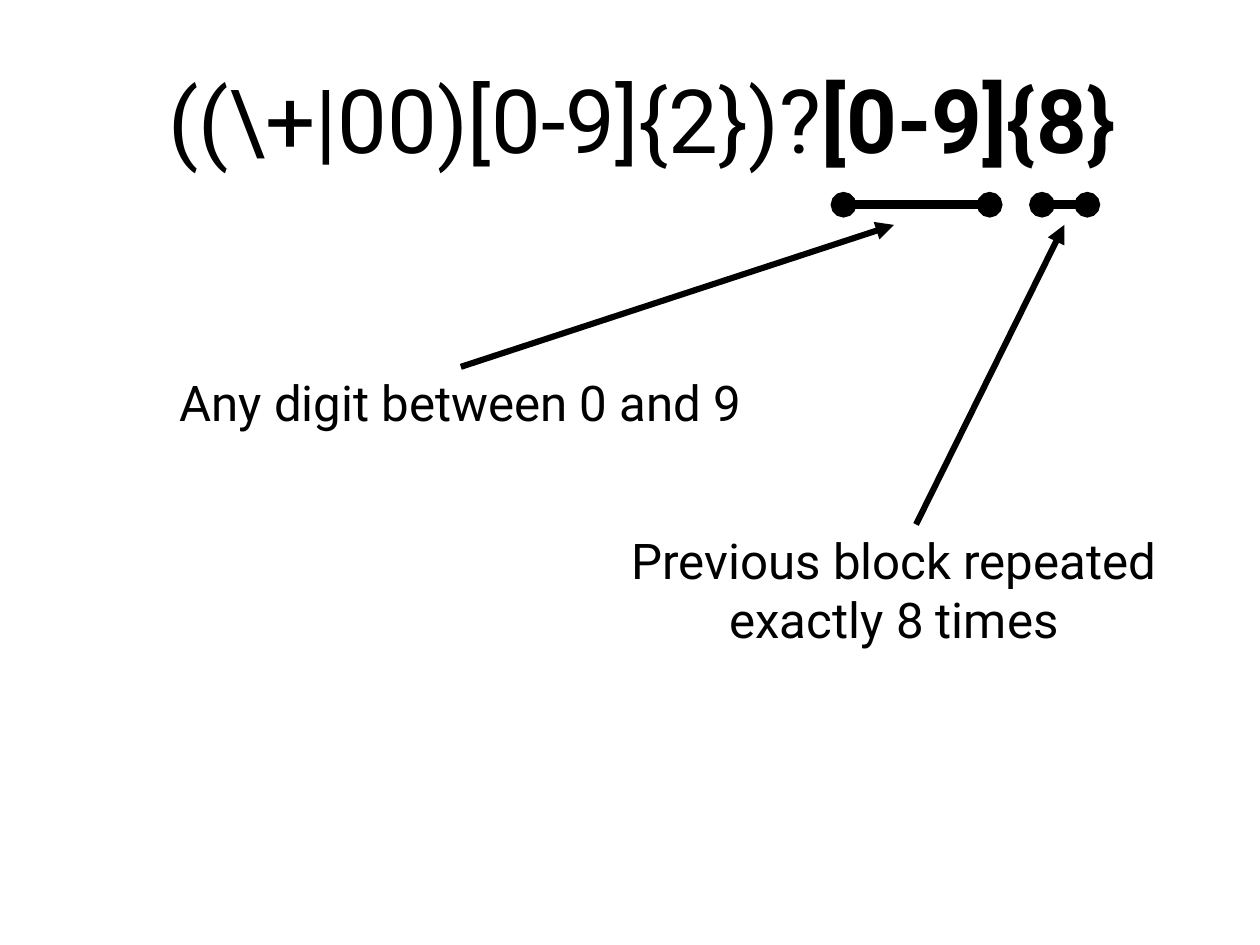
"""Build a slide that explains the last part of a phone number regex."""
from dataclasses import dataclass

from lxml.etree import SubElement
from pptx import Presentation
from pptx.dml.color import RGBColor
from pptx.enum.shapes import MSO_CONNECTOR
from pptx.enum.text import MSO_ANCHOR, MSO_AUTO_SIZE, PP_ALIGN
from pptx.oxml.ns import qn
from pptx.slide import Slide
from pptx.util import Cm, Pt

BLACK = RGBColor(0x00, 0x00, 0x00)
WHITE = RGBColor(0xFF, 0xFF, 0xFF)
FONT = "Roboto"
INSET = Cm(0.15)
FRAME = {
    "margin_left": INSET, "margin_right": INSET,
    "margin_top": INSET, "margin_bottom": INSET,
    "vertical_anchor": MSO_ANCHOR.MIDDLE,
}
BAR_Y = 5.87
TIP_Y = 6.45


@dataclass(frozen=True)
class Text:
    box: tuple[float, float, float, float]
    size: int
    runs: tuple[tuple[str, bool], ...]
    wrap: bool = True
    auto_size: MSO_AUTO_SIZE = MSO_AUTO_SIZE.SHAPE_TO_FIT_TEXT


@dataclass(frozen=True)
class Line:
    start: tuple[float, float]
    end: tuple[float, float]
    width: int
    ends: dict[str, str]


BAR_ENDS = {"headEnd": "oval", "tailEnd": "oval"}
ARROW_ENDS = {"headEnd": "triangle"}

TEXTS = (
    Text((3, 0.91, 30.84, 4.95), 72,
         ((r"((\+|00)[0-9]{2})?", False), ("[0-9]{8}", True)),
         auto_size=MSO_AUTO_SIZE.NONE),
    Text((4.7, 10.52, 16.99, 2.01), 40,
         (("Any digit between 0 and 9", False),), wrap=False),
    Text((15.7, 15.04, 19.86, 3.71), 40,
         (("Previous block repeated exactly 8 times", False),)),
)
LINES = (
    Line((24.18, BAR_Y), (28.37, BAR_Y), 7, BAR_ENDS),
    Line((29.87, BAR_Y), (31.17, BAR_Y), 7, BAR_ENDS),
    Line((25.63, TIP_Y), (13.21, 10.52), 5, ARROW_ENDS),
    Line((30.51, TIP_Y), (26.26, 15.04), 5, ARROW_ENDS),
)


def add_text(s: Slide, text: Text) -> None:
    """Add a centred text box with its runs."""
    tf = s.shapes.add_textbox(*map(Cm, text.box)).text_frame
    frame = FRAME | {"word_wrap": text.wrap, "auto_size": text.auto_size}
    for name, value in frame.items():
        setattr(tf, name, value)
    p = tf.paragraphs[0]
    p.alignment = PP_ALIGN.CENTER
    for content, bold in text.runs:
        r = p.add_run()
        r.text = content
        font = {"name": FONT, "size": Pt(text.size), "bold": bold}
        for name, value in font.items():
            setattr(r.font, name, value)
        r.font.color.rgb = BLACK


def add_line(s: Slide, line: Line) -> None:
    """Add a straight line with its end marks."""
    sp = s.shapes.add_connector(
        MSO_CONNECTOR.STRAIGHT, *map(Cm, line.start + line.end))
    sp.line.color.rgb = BLACK
    sp.line.width = Pt(line.width)
    ln = sp.line._get_or_add_ln()
    for tag, kind in line.ends.items():
        SubElement(ln, qn(f"a:{tag}"), type=kind)
    SubElement(sp._element.spPr, qn("a:effectLst"))


def main() -> None:
    """Build and save the slide."""
    prs = Presentation()
    prs.slide_width, prs.slide_height = Cm(36.12), Cm(27.1)
    s = prs.slides.add_slide(prs.slide_layouts[6])
    s.background.fill.solid()
    s.background.fill.fore_color.rgb = WHITE
    for text in TEXTS:
        add_text(s, text)
    for line in LINES:
        add_line(s, line)
    prs.save("out.pptx")


if __name__ == "__main__":
    main()
